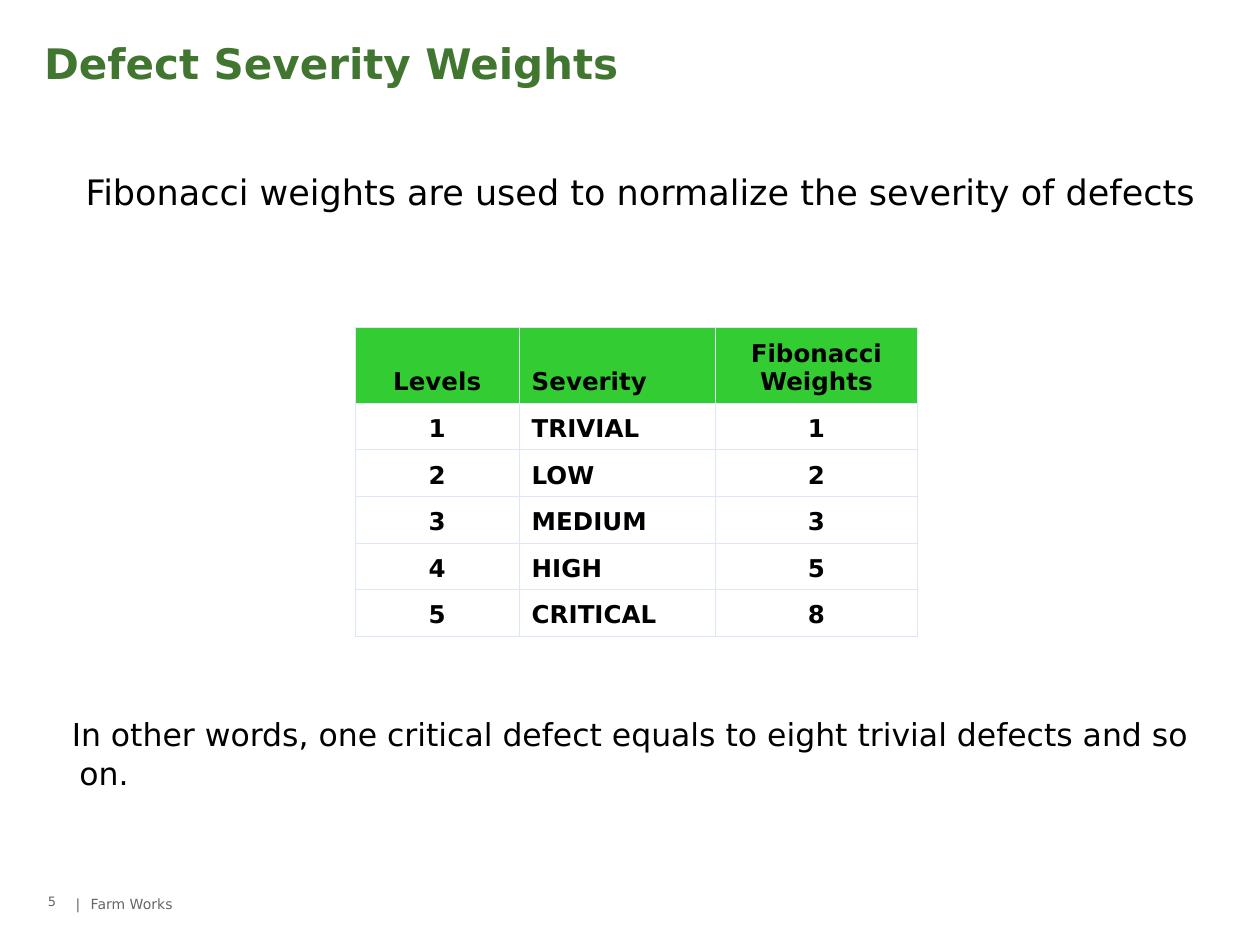
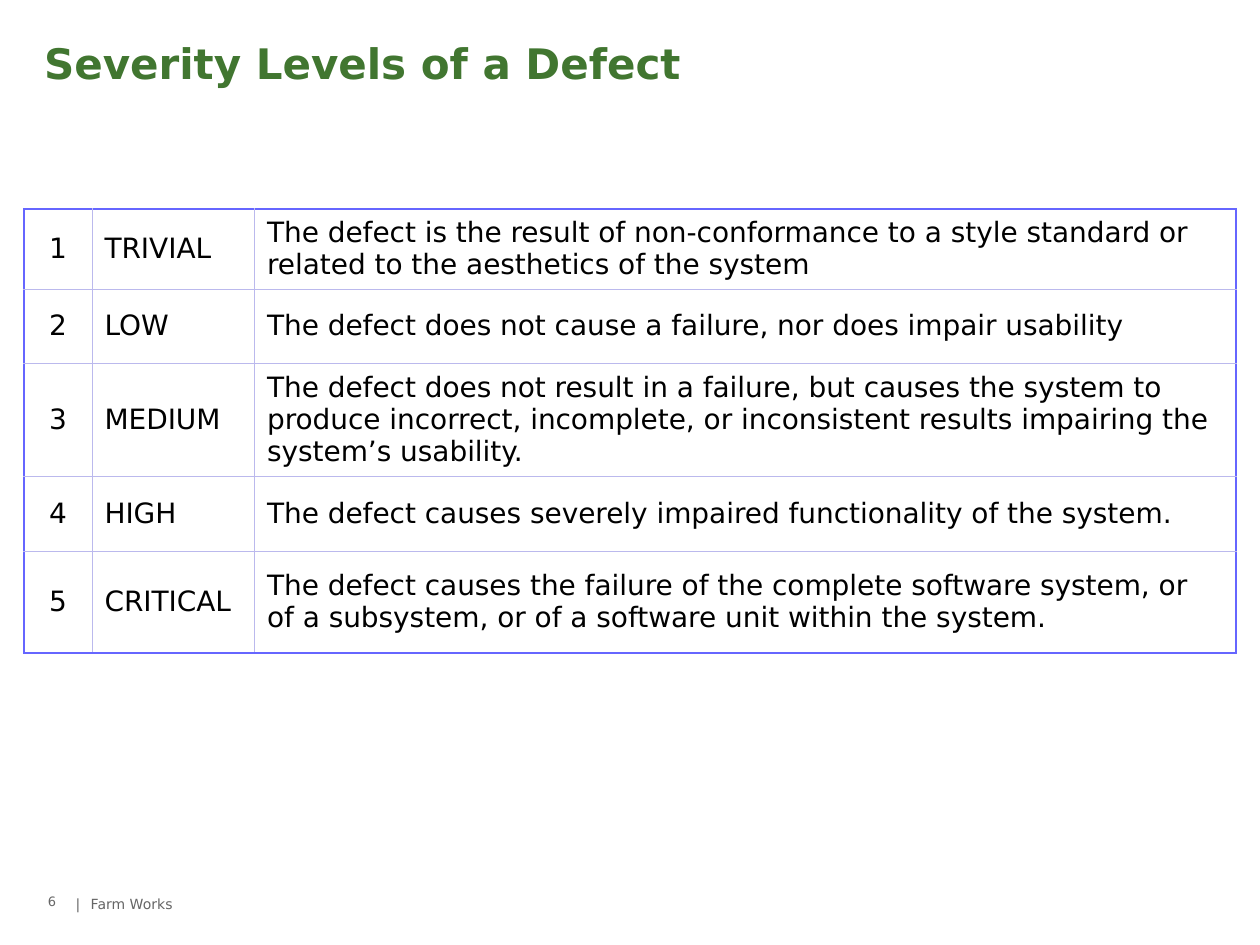
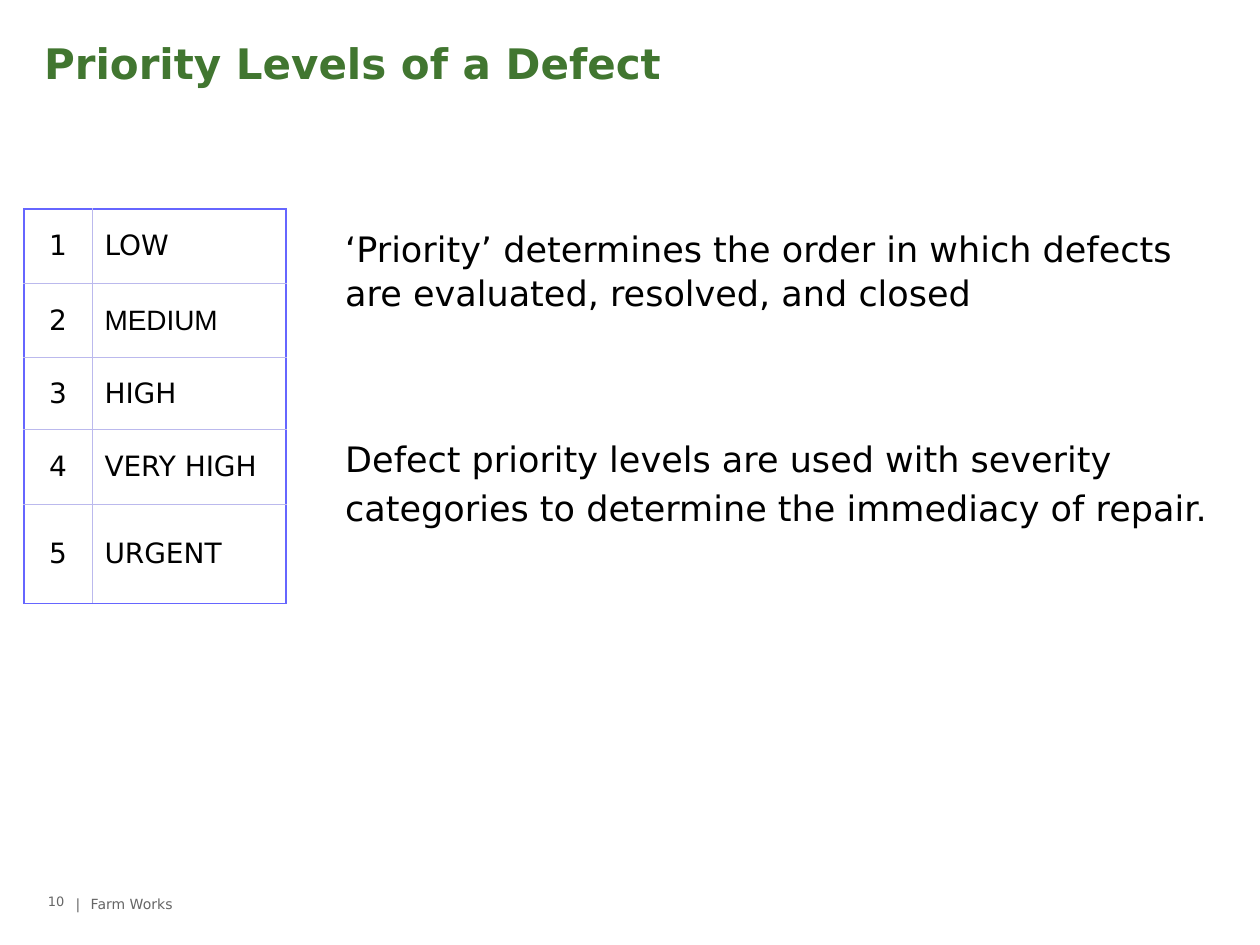
from pptx import Presentation
from pptx.dml.color import RGBColor
from pptx.enum.text import MSO_ANCHOR, PP_ALIGN
from pptx.oxml import parse_xml
from pptx.oxml.ns import nsdecls
from pptx.util import Inches, Pt

FONT = "DejaVu Sans"
BLACK, GREY, TITLE_GREEN, HEADER_GREEN = "000000", "666666", "417630", "33CC33"
PALE = ("DEE7FA", 0.45)
INNER = ("BBB9ED", 0.45)
OUTER = ("6666FF", 1.08)

TITLE = {"size": Pt(24), "bold": True, "color": TITLE_GREEN}
FOOTER = {"size": Pt(8), "color": GREY}
NUMBER = {"size": Pt(7.4), "color": GREY}
BODY = {"size": Pt(20)}
NOTE = {"size": Pt(18)}
CELL = {"size": Pt(16)}
BOLD_CELL = {"size": Pt(14), "bold": True}


def write(p, text, style):
    """Put one formatted run into a paragraph."""
    r = p.add_run()
    r.text = text
    for name, value in {"name": FONT, "color": BLACK, **style}.items():
        if name == "color":
            r.font.color.rgb = RGBColor.from_string(value)
        else:
            setattr(r.font, name, value)


def add_grid(s, left, top, widths, heights, rows, style, anchor, centred, inner, outer):
    """Add a table with inner and outer border lines."""
    shape = s.shapes.add_table(len(rows), len(widths), Inches(left), Inches(top),
                               Inches(sum(widths)), Inches(sum(heights)))
    table = shape.table
    table.first_row = table.horz_banding = False
    for column, width in zip(table.columns, widths):
        column.width = Inches(width)
    for row, height in zip(table.rows, heights):
        row.height = Inches(height)
    for i, texts in enumerate(rows):
        for j, text in enumerate(texts):
            cell = table.cell(i, j)
            cell.vertical_anchor = anchor
            p = cell.text_frame.paragraphs[0]
            p.alignment = PP_ALIGN.CENTER if j in centred else PP_ALIGN.LEFT
            write(p, text, style)
            on_edge = {"L": j == 0, "R": j == len(widths) - 1,
                       "T": i == 0, "B": i == len(rows) - 1}
            tcPr = cell._tc.get_or_add_tcPr()
            for side, edge in on_edge.items():
                color, points = outer if edge else inner
                tcPr.append(parse_xml(
                    f'<a:ln{side} {nsdecls("a")} w="{Pt(points)}"><a:solidFill>'
                    f'<a:srgbClr val="{color}"/></a:solidFill></a:ln{side}>'))
            cell.fill.background()
    return table


prs = Presentation()
prs.slide_width, prs.slide_height = Inches(10), Inches(7.5)

# Text boxes: left, top, width, height, top inset, paragraphs.
# Paragraph: text, style, line spacing, space before, margin, first-line indent.
slides = [
    ("5", "Defect Severity Weights", [
        (0.36, 1.25, 9.28, 1.46, 0.09, [
            ("Fibonacci weights are used to normalize the severity of defects",
             BODY, Pt(25), 0, 0.38, -0.06)]),
        (0.25, 5.54, 9.53, 1.12, 0.12, [
            ("In other words, one critical defect equals to eight trivial defects and so on.",
             NOTE, Pt(22.5), 0, 0.38, -0.06)]),
    ]),
    ("6", "Severity Levels of a Defect", []),
    ("10", "Priority Levels of a Defect", [
        (2.36, 1.7, 7.38, 3.14, 0.09, [
            ("‘Priority’ determines the order in which defects are evaluated, "
             "resolved, and closed", BODY, Pt(25), 0, 0.38, 0),
            ("Defect priority levels are used with severity categories to determine "
             "the immediacy of repair.", BODY, Pt(28), 67, 0.38, 0)]),
    ]),
]

# Titles, footers and body text
for number, title, boxes in slides:
    s = prs.slides.add_slide(prs.slide_layouts[6])
    shared = [
        (0.6, 7.06, 0.08, 0.24, 0.05, [("|", FOOTER, 1.0, 0, 0, 0)]),
        (0.72, 7.06, 5.95, 0.25, 0.05, [("Farm Works", FOOTER, 1.0, 0, 0, 0)]),
        (0.38, 7.06, 0.21, 0.25, 0.05, [(number, NUMBER, 0.9, 0, 0, 0)]),
        (0.35, 0.29, 9.29, 0.82, 0.05, [(title, TITLE, Pt(26), 0, 0, 0)]),
    ]
    for left, top, width, height, inset, paragraphs in shared + boxes:
        sp = s.shapes.add_textbox(Inches(left), Inches(top), Inches(width), Inches(height))
        tf = sp.text_frame
        tf.word_wrap = True
        tf.margin_left = tf.margin_right = 0
        tf.margin_top, tf.margin_bottom = Inches(inset), Inches(0.05)
        for i, (text, style, spacing, before, margin, indent) in enumerate(paragraphs):
            p = tf.add_paragraph() if i else tf.paragraphs[0]
            p.line_spacing = spacing
            if before:
                p.space_before = Pt(before)
            if margin:
                pPr = p._p.get_or_add_pPr()
                pPr.set("marL", str(Inches(margin)))
                pPr.set("indent", str(Inches(indent)))
            write(p, text, style)

weights_slide, severity_slide, priority_slide = prs.slides

# Fibonacci weights
weights = [
    ("Levels", "Severity", "Fibonacci Weights"),
    ("1", "TRIVIAL", "1"),
    ("2", "LOW", "2"),
    ("3", "MEDIUM", "3"),
    ("4", "HIGH", "5"),
    ("5", "CRITICAL", "8"),
]
table = add_grid(weights_slide, 2.82, 2.6, [1.3, 1.56, 1.6], [0.6] + [0.37] * 5, weights,
                 BOLD_CELL, MSO_ANCHOR.BOTTOM, (0, 2), PALE, PALE)
for cell in table.rows[0].cells:
    cell.fill.solid()
    cell.fill.fore_color.rgb = RGBColor.from_string(HEADER_GREEN)

# Severity levels
severities = [
    ("1", "TRIVIAL", "The defect is the result of non-conformance to a style standard or "
     "related to the aesthetics of the system"),
    ("2", "LOW", "The defect does not cause a failure, nor does impair usability"),
    ("3", "MEDIUM", "The defect does not result in a failure, but causes the system to "
     "produce incorrect, incomplete, or inconsistent results impairing the "
     "system’s usability."),
    ("4", "HIGH", "The defect causes severely impaired functionality of the system."),
    ("5", "CRITICAL", "The defect causes the failure of the complete software system, or "
     "of a subsystem, or of a software unit within the system."),
]
add_grid(severity_slide, 0.19, 1.66, [0.54, 1.29, 7.79], [0.63, 0.59, 0.9, 0.59, 0.81],
         severities, CELL, MSO_ANCHOR.MIDDLE, (0,), INNER, OUTER)

# Priority levels
priorities = [("1", "LOW"), ("2", "MEDIUM"), ("3", "HIGH"), ("4", "VERY HIGH"), ("5", "URGENT")]
table = add_grid(priority_slide, 0.19, 1.66, [0.54, 1.54], [0.59, 0.59, 0.57, 0.59, 0.79],
                 priorities, CELL, MSO_ANCHOR.MIDDLE, (0,), INNER, OUTER)
table.cell(1, 1).text_frame.paragraphs[0].runs[0].font.name = "Arial"

prs.save("out.pptx")
